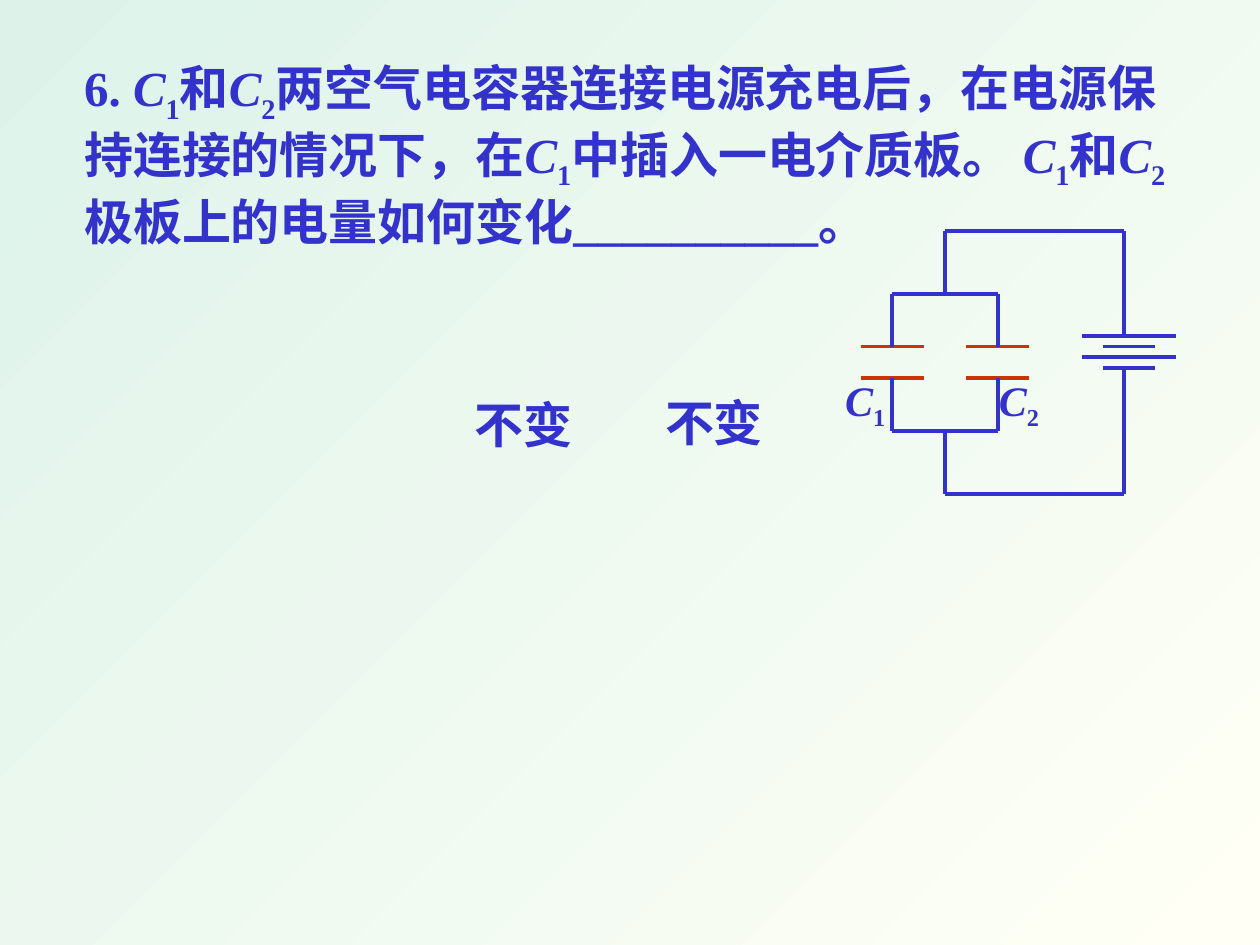
from lxml.etree import SubElement
from pptx import Presentation
from pptx.dml.color import RGBColor
from pptx.enum.shapes import MSO_CONNECTOR
from pptx.enum.text import MSO_AUTO_SIZE
from pptx.oxml.ns import qn
from pptx.util import Inches, Pt

BLUE, RED = "3333CC", "CC3300"


def color(hex_code):
    return RGBColor.from_string(hex_code)


class CircuitSlide:
    font_format = {"name": "Times New Roman", "bold": True}

    def __init__(self, slide):
        self.slide = slide

    def background(self, start, end, angle):
        fill = self.slide.background.fill
        fill.gradient()
        fill.gradient_angle = angle
        for stop, hex_code, position in zip(fill.gradient_stops, (start, end), (0, 1)):
            stop.color.rgb = color(hex_code)
            stop.position = position

    def run(self, paragraph, text, size, italic=False, subscript=False):
        run = paragraph.add_run()
        run.text = text
        values = {**self.font_format, "size": Pt(size), "italic": italic}
        for name, value in values.items():
            setattr(run.font, name, value)
        run.font.color.rgb = color(BLUE)
        if subscript:
            run._r.get_or_add_rPr().set("baseline", "-25000")

    def text(self, left, top, width, height, parts, size=28, wrap=False):
        """Place text; the parts C1 and C2 become symbols with a subscript."""
        box = self.slide.shapes.add_textbox(*map(Inches, (left, top, width, height)))
        frame = box.text_frame
        frame.word_wrap = wrap
        frame.auto_size = MSO_AUTO_SIZE.SHAPE_TO_FIT_TEXT
        paragraph = frame.paragraphs[0]
        for part in parts:
            if part in ("C1", "C2"):
                self.run(paragraph, part[0], size, italic=True)
                self.run(paragraph, part[1], size, subscript=True)
            else:
                self.run(paragraph, part, size)

    def line(self, start, end, hex_code=BLUE):
        line = self.slide.shapes.add_connector(
            MSO_CONNECTOR.STRAIGHT, *map(Inches, (*start, *end)))
        line.line.color.rgb = color(hex_code)
        line.line.width = Pt(2.25)
        SubElement(line._element.spPr, qn("a:effectLst"))

    def wire(self, *points):
        for start, end in zip(points, points[1:]):
            self.line(start, end)

    def plate(self, center, y, width, hex_code=BLUE):
        self.line((center - width / 2, y), (center + width / 2, y), hex_code)


def main():
    presentation = Presentation()
    presentation.slide_width, presentation.slide_height = Inches(10), Inches(7.5)
    circuit = CircuitSlide(presentation.slides.add_slide(presentation.slide_layouts[6]))
    circuit.background("DDF3EA", "FFFFF5", 315)

    # Answers
    circuit.text(3.67, 3.08, 1.17, 0.57, ["不变"], wrap=True)
    circuit.text(5.18, 3.07, 0.98, 0.57, ["不变"])

    # Question
    circuit.text(0.57, 0.41, 8.93, 1.5, [
        "6. ", "C1", "和", "C2",
        "两空气电容器连接电源充电后，在电源保持连接的情况下，在", "C1",
        "中插入一电介质板。 ", "C1", "和", "C2",
        "极板上的电量如何变化__________。"], wrap=True)

    # Capacitor plates
    left, right, middle, supply = 7.08, 7.92, 7.5, 8.92
    upper, lower = 2.75, 3
    for capacitor in (left, right):
        for y in (upper, lower):
            circuit.plate(capacitor, y, 0.5, RED)

    # Wires: parallel branches, then the loop through the supply
    for plate_y, branch_y, loop_y, supply_y in (
            (upper, 2.33, 1.83, 2.67), (lower, 3.42, 3.92, 2.92)):
        circuit.wire((left, plate_y), (left, branch_y),
                     (right, branch_y), (right, plate_y))
        circuit.wire((middle, branch_y), (middle, loop_y),
                     (supply, loop_y), (supply, supply_y))

    # Battery
    for y, width in ((2.67, 0.75), (2.75, 0.42), (2.83, 0.75), (2.92, 0.42)):
        circuit.plate(8.96, y, width)

    # Capacitor labels
    for label, x in (("C1", 6.61), ("C2", 7.83)):
        circuit.text(x, 2.92, 0.53, 0.5, [label], size=24)

    presentation.save("out.pptx")


if __name__ == "__main__":
    main()
